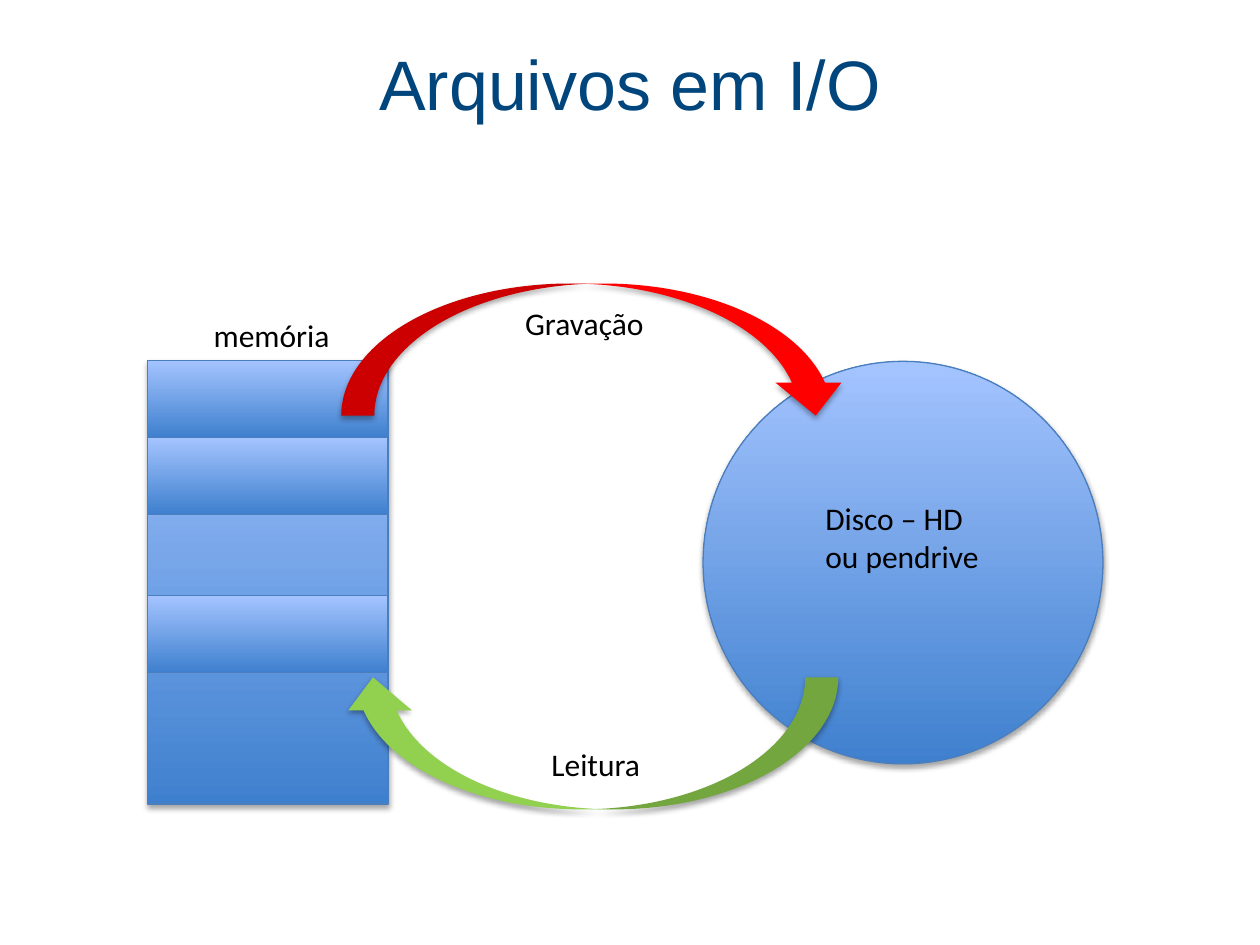
from lxml import etree
from pptx import Presentation
from pptx.dml.color import RGBColor
from pptx.enum.shapes import MSO_SHAPE as SHAPE
from pptx.enum.text import MSO_ANCHOR as ANCHOR, PP_ALIGN as ALIGN
from pptx.oxml import parse_xml
from pptx.util import Pt

COLORS = {
    "title": "00457C",
    "text": "000000",
    "blue_dark": "3F80CE",
    "blue_light": "A4C4FF",
    "outline": "4B7EBC",
    "write": "FF0000",
    "read": "92D050",
}
SHADOW_XML = (
    '<a:outerShdw xmlns:a="http://schemas.openxmlformats.org/drawingml/2006/main" '
    'blurRad="40000" dist="23000" dir="5400000" rotWithShape="0">'
    '<a:srgbClr val="000000"><a:alpha val="35000"/></a:srgbClr></a:outerShdw>'
)

presentation = Presentation()
presentation.slide_width = Pt(720)
presentation.slide_height = Pt(540)
slide = presentation.slides.add_slide(presentation.slide_layouts[6])


def add_figure(kind, left, top, width, height, color=None, shadow=True):
    """Add a plain shape in one color, or an outlined blue gradient without one."""
    shape = slide.shapes.add_shape(kind, Pt(left), Pt(top), Pt(width), Pt(height))
    if color:
        shape.fill.solid()
        shape.fill.fore_color.rgb = RGBColor.from_string(COLORS[color])
        shape.line.fill.background()
    else:
        shape.fill.gradient()
        shape.fill.gradient_angle = 90
        for stop, name in zip(shape.fill.gradient_stops, ("blue_dark", "blue_light")):
            stop.color.rgb = RGBColor.from_string(COLORS[name])
        for stop, position in zip(shape.fill.gradient_stops, (0, 1)):
            stop.position = position
        shape.line.color.rgb = RGBColor.from_string(COLORS["outline"])
        shape.line.width = Pt(0.75)
    shape.shadow.inherit = False
    if shadow:
        effects = shape.element.spPr.find("{*}effectLst")
        effects.append(parse_xml(SHADOW_XML))
    return shape


def add_label(text, left, top, width, height, size=18, font="Calibri", color="text"):
    box = slide.shapes.add_textbox(Pt(left), Pt(top), Pt(width), Pt(height))
    box.text_frame.word_wrap = True
    run = box.text_frame.paragraphs[0].add_run()
    run.text = text
    run.font.size = Pt(size)
    run.font.name = font
    run.font.color.rgb = RGBColor.from_string(COLORS[color])
    return box


title = add_label("Arquivos em I/O", 25, 2, 670, 90, 40, "Arial", "title")
title.text_frame.vertical_anchor = ANCHOR.MIDDLE
title.text_frame.paragraphs[0].alignment = ALIGN.CENTER

# Memory block with its filled cells
memory_left, memory_top, memory_width, cell_height = 84.25, 206, 137.5, 44
add_figure(SHAPE.RECTANGLE, memory_left, memory_top, memory_width, 253.5)
for cell_top in (memory_top, memory_top + cell_height, 340.5):
    add_figure(SHAPE.RECTANGLE, memory_left, cell_top, memory_width, cell_height,
               shadow=False)
add_label("memória", 115, 177, 90, 29)

# Disk
add_figure(SHAPE.OVAL, 401.75, 206.5, 228.5, 230)
add_label("Disco – HD ou pendrive", 464.5, 281.5, 114.5, 51)

# Write and read arrows
add_figure(SHAPE.CURVED_DOWN_ARROW, 195, 162, 290, 75.5, "write")
read_arrow = add_figure(SHAPE.CURVED_DOWN_ARROW, 195, 387, 284, 75.5, "read")
read_arrow.rotation = 180
read_arrow.adjustments[1] = 0.48
add_label("Gravação", 293, 170, 104, 29)
add_label("Leitura", 308, 422, 104, 29)

presentation.save("out.pptx")
